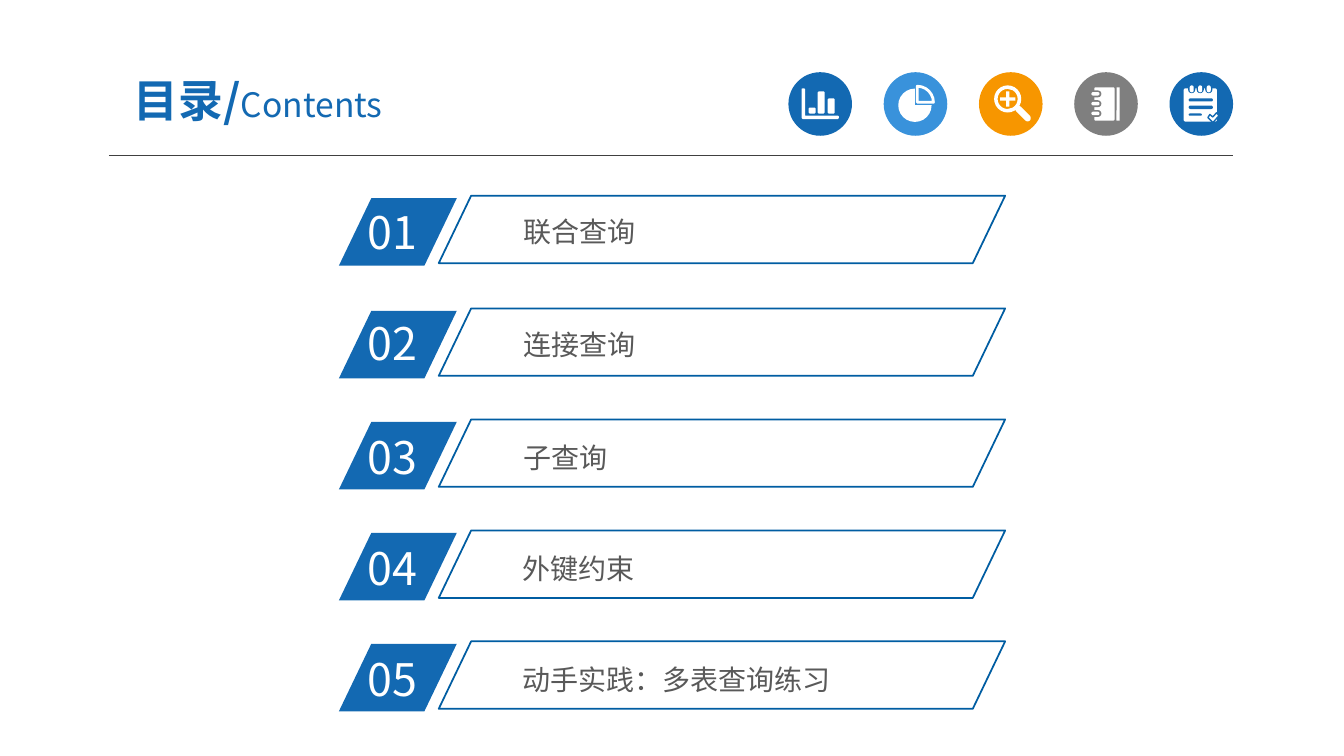
import pptx
import pptx.util
import pptx.dml.color
import pptx.enum.shapes
import pptx.enum.text
import pptx.oxml.ns
from lxml import etree

Pt = pptx.util.Pt
SHAPE = pptx.enum.shapes.MSO_SHAPE
ALIGN = pptx.enum.text.PP_ALIGN
ANCHOR = pptx.enum.text.MSO_ANCHOR
FONT = "Noto Sans CJK SC"
BLUE, SKY, ORANGE, GRAY, WHITE = "1369B2", "3992DB", "F79600", "7F7F7F", "FFFFFF"
RULE_GRAY, BORDER_BLUE, TEXT_GRAY = "404040", "005DA2", "595959"
CIRCLE_LEFT, CIRCLE_TOP, CIRCLE_SIZE, CIRCLE_STEP = 563.2, 51.6, 45.4, 68.05
ROWS = [
    ("联合查询", 141.6, 142.8, 368.9, 150.5),
    ("连接查询", 222.1, 221.8, 368.9, 231.1),
    ("子查询", 301.4, 303.3, 368.9, 311.8),
    ("外键约束", 380.7, 383, 368.2, 391),
    ("动手实践：多表查询练习", 459.9, 462.2, 368.2, 470.2),
]


def color(value):
    return pptx.dml.color.RGBColor.from_string(value)


def paint(sp, fill=None, line=None, width=1):
    sp.shadow.inherit = False
    if fill:
        sp.fill.solid()
        sp.fill.fore_color.rgb = color(fill)
    else:
        sp.fill.background()
    if line:
        sp.line.color.rgb = color(line)
        sp.line.width = Pt(width)
    else:
        sp.line.fill.background()


def add_shape(s, kind, x, y, w, h, fill=None, line=None, width=1, adj=(), rotation=0):
    sp = s.shapes.add_shape(kind, Pt(x), Pt(y), Pt(w), Pt(h))
    for i, value in enumerate(adj):
        sp.adjustments[i] = value
    sp.rotation = rotation
    paint(sp, fill, line, width)
    return sp


def add_outline(s, x, y, contours, fill, line=None):
    fb = None
    for contour in contours:
        points = [(Pt(x + dx), Pt(y + dy)) for dx, dy in contour]
        if fb is None:
            fb = s.shapes.build_freeform(*points[0])
        else:
            fb.move_to(*points[0])
        fb.add_line_segments(points[1:], close=True)
    paint(fb.convert_to_shape(), fill, line)


def add_run(p, text, size=20, fill=BLUE, bold=False):
    r = p.add_run()
    r.text = text
    r.font.size = Pt(size)
    r.font.bold = bold
    r.font.name = FONT
    r.font.color.rgb = color(fill)
    ea = etree.SubElement(r.font._element, pptx.oxml.ns.qn("a:ea"))
    ea.set("typeface", FONT)


def add_text(s, x, y, w, h, runs, align=ALIGN.LEFT, anchor=ANCHOR.TOP, inset=(7.2, 3.6)):
    tf = s.shapes.add_textbox(Pt(x), Pt(y), Pt(w), Pt(h)).text_frame
    tf.word_wrap = True
    tf.vertical_anchor = anchor
    tf.margin_left = tf.margin_right = Pt(inset[0])
    tf.margin_top = tf.margin_bottom = Pt(inset[1])
    p = tf.paragraphs[0]
    p.alignment = align
    for text, style in runs:
        add_run(p, text, **style)


def add_rule(s, x1, x2, y):
    c = s.shapes.add_connector(pptx.enum.shapes.MSO_CONNECTOR.STRAIGHT, Pt(x1), Pt(y), Pt(x2), Pt(y))
    c.line.color.rgb = color(RULE_GRAY)
    c.line.width = Pt(0.75)
    etree.SubElement(c._element.spPr, pptx.oxml.ns.qn("a:effectLst"))


def add_pills(s, x, y, boxes, fill=WHITE, radius=0.5):
    for left, top, w, h in boxes:
        add_shape(s, SHAPE.ROUNDED_RECTANGLE, x + left, y + top, w, h, fill, adj=[radius])


def bars_icon(s, x, y):
    axes = [(9.4, 11.8), (10.2, 11.5), (11.2, 11.5), (12, 12.2), (12, 31), (35.4, 31),
            (36, 31.6), (36, 32.8), (35.4, 33.4), (10.2, 33.4), (9.4, 32.7)]
    bars = [(14.4, 25.2, 4.3), (20.9, 13.7, 15.8), (28.1, 18.7, 10.8)]
    contours = [[(left + 0.7, top), (left + 4.3, top), (left + 5, top + 0.7),
                 (left + 5, top + h - 0.7), (left + 4.3, top + h), (left + 0.7, top + h),
                 (left, top + h - 0.7), (left, top + 0.7)] for left, top, h in bars]
    add_outline(s, x, y, [axes] + contours, WHITE)


def pie_icon(s, x, y):
    add_shape(s, SHAPE.PIE, x + 10.4, y + 11.7, 23.8, 23.8, WHITE)
    add_shape(s, SHAPE.PIE, x + 12.5, y + 10, 23, 23, line=WHITE, width=2, adj=[162, 0])


def magnifier_icon(s, x, y):
    add_shape(s, SHAPE.DONUT, x + 10.8, y + 9.4, 19.4, 19.4, WHITE, adj=[0.13])
    add_shape(s, SHAPE.CROSS, x + 15.1, y + 13.7, 10.8, 10.8, WHITE, adj=[0.39])
    add_shape(s, SHAPE.ROUNDED_RECTANGLE, x + 24.4, y + 27.2, 14, 4.6, WHITE, adj=[0.5], rotation=45)


def notebook_icon(s, x, y):
    add_pills(s, x, y, [(14.4, 10.8, 14.4, 23.8), (30.2, 10.8, 2.2, 23.8)], radius=0.06)
    for top in (14.2, 21.2, 28.2):
        add_pills(s, x, y, [(10, top - 1.2, 9.4, 4.9)], GRAY)
        add_pills(s, x, y, [(12.2, top, 5.8, 2.5)])


def notepad_icon(s, x, y):
    add_pills(s, x, y, [(10.1, 11.5, 23.8, 23.8)], radius=0.06)
    for left in (14.4, 20.5, 26.6):
        add_pills(s, x, y, [(left - 1.1, 8.3, 5.1, 6.7)], BLUE)
        add_pills(s, x, y, [(left, 9.4, 2.9, 5)])
    lines = [(13.7, 18.7, 17.3, 2.2), (13.7, 23.8, 17.3, 2.5), (13.7, 29.5, 9.4, 1.6)]
    add_pills(s, x, y, lines, BLUE)
    check = [(27.4, 32.4), (28.8, 30.2), (30.9, 32), (33.5, 29), (35.3, 31), (31, 36)]
    add_outline(s, x, y, [check], WHITE, BLUE)


def add_header(s):
    add_rule(s, 77.8, 880.6, 111.2)
    icons = [(BLUE, bars_icon), (SKY, pie_icon), (ORANGE, magnifier_icon),
             (GRAY, notebook_icon), (BLUE, notepad_icon)]
    for i, (fill, draw_icon) in enumerate(icons):
        x = CIRCLE_LEFT + i * CIRCLE_STEP
        add_shape(s, SHAPE.OVAL, x, CIRCLE_TOP, CIRCLE_SIZE, CIRCLE_SIZE, fill)
        draw_icon(s, x, CIRCLE_TOP)
    title = [("目录/", dict(size=32, bold=True)), ("Contents", dict(size=24))]
    add_text(s, 66, 45.4, 236.9, 51.8, title, ALIGN.CENTER, ANCHOR.MIDDLE, (9.4, 5))


def add_row(s, number, label, top, number_top, label_left, label_top):
    add_shape(s, SHAPE.PARALLELOGRAM, 242.1, top, 84.2, 48.2, BLUE, adj=[0.48])
    add_text(s, 255.4, number_top, 80.6, 46.1, [(f"{number:02d}", dict(size=32, fill=WHITE))])
    add_shape(s, SHAPE.PARALLELOGRAM, 313.4, top - 1.8, 404.6, 48.2,
              line=BORDER_BLUE, width=1.25, adj=[0.48])
    add_text(s, label_left, label_top, 317, 30, [(label, dict(fill=TEXT_GRAY))], inset=(5, 2.9))


def main():
    prs = pptx.Presentation()
    prs.slide_width, prs.slide_height = Pt(960), Pt(540)
    s = prs.slides.add_slide(prs.slide_layouts[6])
    add_header(s)
    for number, row in enumerate(ROWS, 1):
        add_row(s, number, *row)
    prs.save("out.pptx")


if __name__ == "__main__":
    main()
